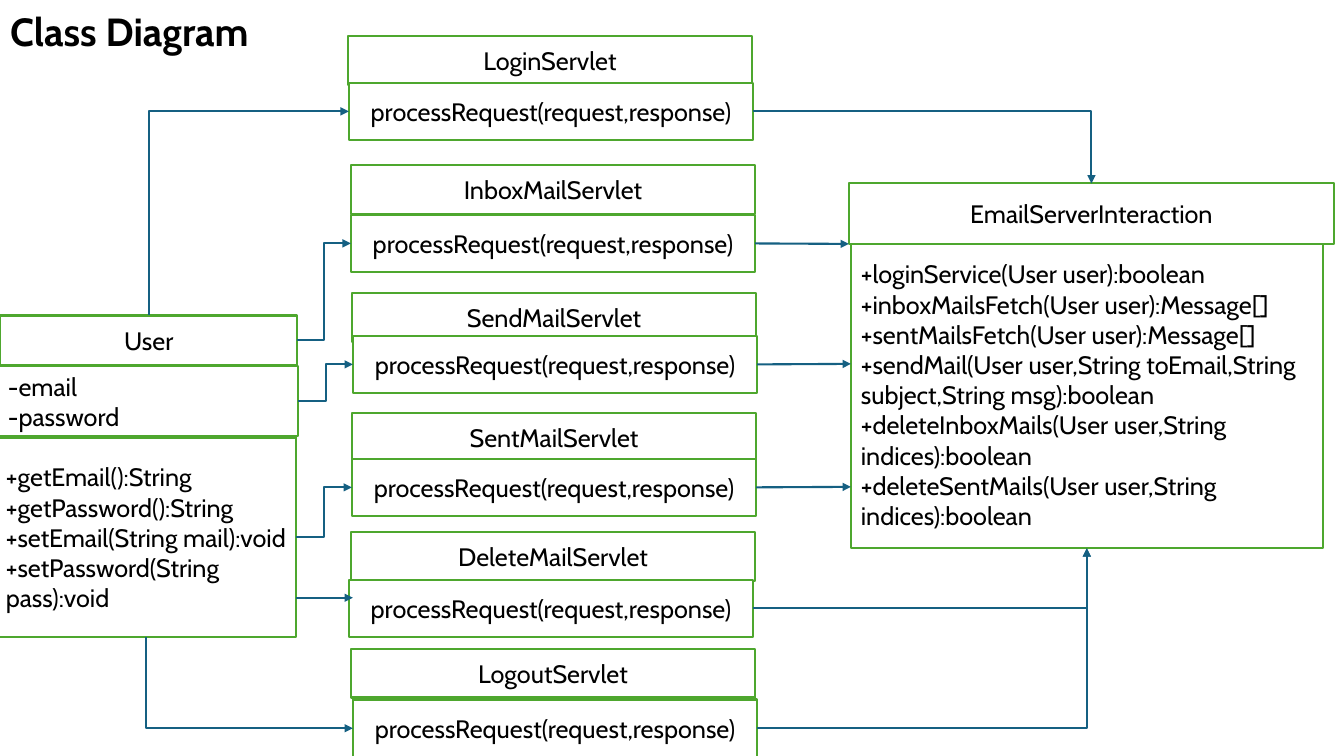
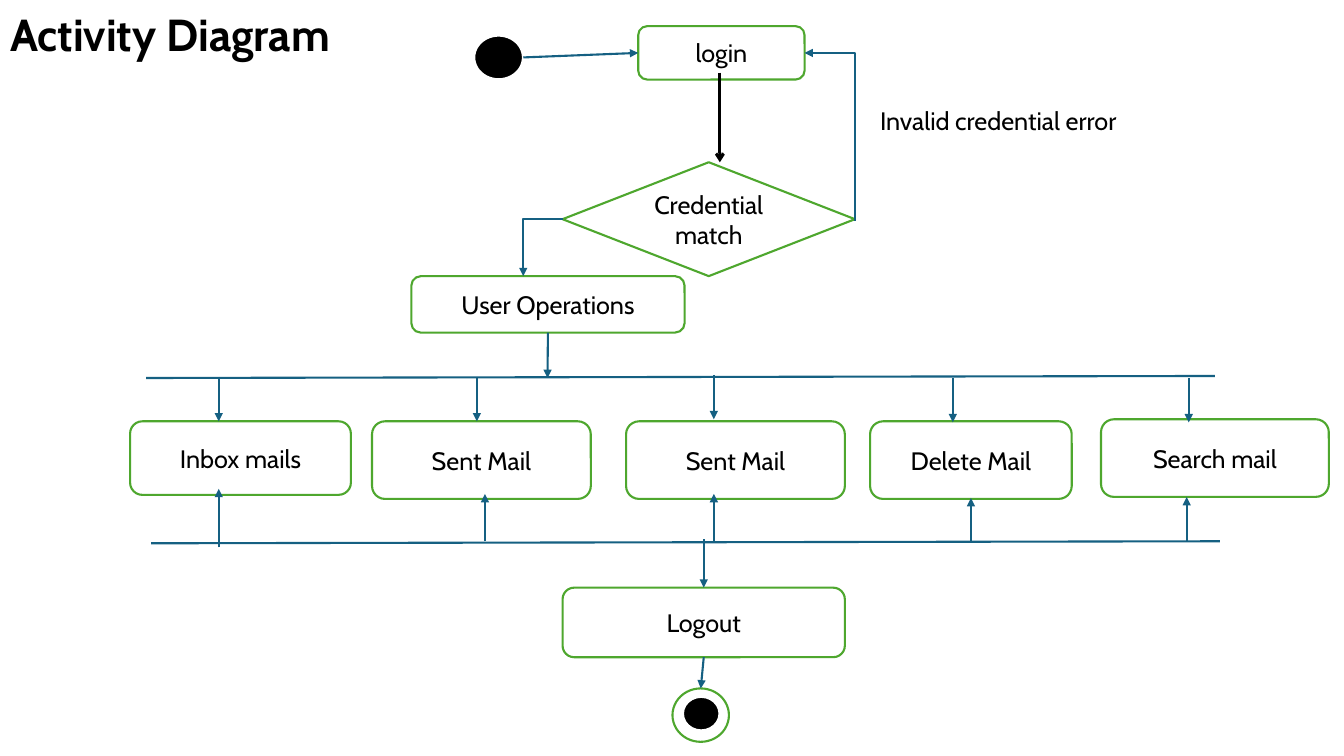
from pptx import Presentation
from pptx import util as u
from pptx.dml.color import RGBColor
from pptx.enum import shapes, text
from pptx.oxml import ns
from lxml import etree

FONT = "Cabin"
INK, PAPER, GREEN, BLUE = "000000", "FFFFFF", "4EA72E", "156082"
WIDE, HIGH = 13.33, 7.5
TOP, LEFT, BOTTOM, RIGHT = range(4)
KIND = shapes.MSO_SHAPE
LINK = shapes.MSO_CONNECTOR
MIDDLE = text.PP_ALIGN.CENTER
START = text.PP_ALIGN.LEFT


def rgb(code):
    return RGBColor.from_string(code)


def inch(values):
    return [u.Inches(v) for v in values]


def write(frame, lines, align=START, size=18, bold=False):
    frame.word_wrap = True
    for i, line in enumerate(lines):
        para = frame.paragraphs[0] if i == 0 else frame.add_paragraph()
        para.alignment = align
        run = para.add_run()
        run.text = line
        style = {"name": FONT, "size": u.Pt(size), "bold": bold}
        for key, value in style.items():
            setattr(run.font, key, value)
        run.font.color.rgb = rgb(INK)


def page(deck, title, box, size):
    slide = deck.slides.add_slide(deck.slide_layouts[5])
    head = slide.shapes.title
    for key, value in zip(("left", "top", "width", "height"), inch(box)):
        setattr(head, key, value)
    frame = head.text_frame
    frame.auto_size = text.MSO_AUTO_SIZE.NONE
    frame.vertical_anchor = text.MSO_ANCHOR.TOP
    write(frame, [title], size=size, bold=True)
    return slide


def node(slide, kind, box, lines=(), align=MIDDLE, fill=PAPER, edge=GREEN, width=1.5):
    shape = slide.shapes.add_shape(kind, *inch(box))
    shape.shadow.inherit = False
    shape.fill.solid()
    shape.fill.fore_color.rgb = rgb(fill)
    shape.line.color.rgb = rgb(edge)
    shape.line.width = u.Pt(width)
    shape.text_frame.vertical_anchor = text.MSO_ANCHOR.MIDDLE
    write(shape.text_frame, lines, align)
    return shape


def dot(slide, box):
    return node(slide, KIND.OVAL, box, fill=INK, edge=PAPER, width=2)


def link(slide, start, end, kind=LINK.STRAIGHT, mark="tailEnd", tip="triangle",
         color=BLUE, width=1.5, corner=False):
    """Join two ends, each a point (x, y) or a (shape, side) pair."""
    glued = [not isinstance(e[0], (int, float)) for e in (start, end)]
    spots = [(0, 0) if g else e for g, e in zip(glued, (start, end))]
    line = slide.shapes.add_connector(kind, *inch(spots[0] + spots[1]))
    if glued[0]:
        line.begin_connect(*start)
    if glued[1]:
        line.end_connect(*end)
    line.line.color.rgb = rgb(color)
    line.line.width = u.Pt(width)
    part = line.element.spPr
    if corner:
        part.find(ns.qn("a:prstGeom")).set("prst", "bentConnector2")
    if mark:
        stroke = part.find(ns.qn("a:ln"))
        etree.SubElement(stroke, ns.qn("a:" + mark)).set("type", tip)
    etree.SubElement(part, ns.qn("a:effectLst"))


def turn(slide, start, end, mark="tailEnd"):
    """One corner: level from start, then upright to end."""
    link(slide, start, end, LINK.ELBOW, mark, corner=True)


def servlet(slide, x, y, name, dx, dy):
    node(slide, KIND.RECTANGLE, (x, y, 4.01, 0.48), [name])
    return node(slide, KIND.RECTANGLE, (x + dx, y + dy, 4.01, 0.57),
                ["processRequest(request,response)"])


def user(slide, x, y):
    name = node(slide, KIND.RECTANGLE, (x, y, 2.95, 0.49), ["User"])
    data = node(slide, KIND.RECTANGLE, (x - 0.02, y + 0.5, 2.98, 0.7),
                ["-email", "-password"], START)
    calls = node(slide, KIND.RECTANGLE, (x - 0.04, y + 1.21, 2.98, 1.98), [
        "+getEmail():String", "+getPassword():String",
        "+setEmail(String mail):void", "+setPassword(String pass):void"], START)
    return name, data, calls


def server(slide, x, y):
    calls = node(slide, KIND.RECTANGLE, (x + 0.02, y + 0.57, 4.68, 3.05), [
        "+loginService(User user):boolean",
        "+inboxMailsFetch(User user):Message[]",
        "+sentMailsFetch(User user):Message[]",
        "+sendMail(User user,String toEmail,String subject,String msg):boolean",
        "+deleteInboxMails(User user,String indices):boolean",
        "+deleteSentMails(User user,String indices):boolean"], START)
    name = node(slide, KIND.RECTANGLE, (x, y, 4.81, 0.6), ["EmailServerInteraction"])
    return name, calls


def classes(deck):
    slide = page(deck, "Class Diagram", (0, 0.02, WIDE / 2, 0.57), 28)
    name, data, calls = user(slide, 0, 3.13)
    host, jobs = server(slide, 8.42, 1.82)
    login, inbox, send, sent, delete, logout = [servlet(slide, *row) for row in (
        (3.45, 0.36, "LoginServlet", 0.01, 0.46),
        (3.48, 1.64, "InboxMailServlet", 0, 0.49),
        (3.49, 2.91, "SendMailServlet", 0.01, 0.42),
        (3.49, 4.1, "SentMailServlet", 0, 0.45),
        (3.48, 5.28, "DeleteMailServlet", -0.02, 0.47),
        (3.48, 6.44, "LogoutServlet", 0.02, 0.5))]
    turn(slide, (login, LEFT), (name, TOP), "headEnd")
    turn(slide, (logout, LEFT), (calls, BOTTOM), "headEnd")
    for part, goal in ((name, inbox), (data, send), (calls, sent)):
        link(slide, (part, RIGHT), (goal, LEFT), LINK.ELBOW)
    link(slide, (2.94, 5.93), (3.5, 5.93))
    for part, x, y in ((inbox, 8.42, 2.42), (send, 8.44, 3.61), (sent, 8.44, 4.83)):
        link(slide, (part, RIGHT), (x, y))
    turn(slide, (login, RIGHT), (host, TOP))
    for part in (delete, logout):
        turn(slide, (part, RIGHT), (jobs, BOTTOM))


def entry(slide, x, y):
    """Login check, down to the user operations."""
    ball = dot(slide, (x, y + 0.09, 0.49, 0.44))
    login = node(slide, KIND.ROUNDED_RECTANGLE, (x + 1.63, y, 1.65, 0.53), ["login"])
    check = node(slide, KIND.DIAMOND, (x + 0.88, y + 1.35, 2.9, 1.13), ["Credential match"])
    work = node(slide, KIND.ROUNDED_RECTANGLE, (x - 0.62, y + 2.48, 2.71, 0.56),
                ["User Operations"])
    link(slide, (ball.left.inches + ball.width.inches, y + 0.31), (login, LEFT))
    link(slide, (x + 2.44, y + 0.46), (x + 2.44, y + 1.35), tip="arrow", color=INK, width=2)
    turn(slide, (check, LEFT), (x + 0.49, y + 2.48))
    turn(slide, (login, RIGHT), (x + 3.78, y + 1.93), "headEnd")
    link(slide, (work, BOTTOM), (x + 0.73, y + 3.49))
    note = slide.shapes.add_textbox(*inch((x + 3.93, y + 0.74, 3.14, 0.4)))
    write(note.text_frame, ["Invalid credential error"])


def fork(slide, x, y):
    """Five mail actions between two bars."""
    for dx, dy in ((0, 0), (0.05, 1.64)):
        link(slide, (x + dx + 10.6, y + dy), (x + dx, y + dy + 0.02), mark=None)
    for name, left, top, wide, high, into, begin, out, base, tip in (
            ("Inbox mails", -0.16, 0.45, 2.19, 0.73, 0.72, 0.01, 0.72, 1.7, 1.12),
            ("Sent Mail", 2.24, 0.45, 2.17, 0.77, 3.28, 0.01, 3.36, 1.64, 1.17),
            ("Sent Mail", 4.76, 0.45, 2.17, 0.77, 5.63, -0.01, 5.63, 1.64, 1.17),
            ("Delete Mail", 7.18, 0.45, 2, 0.77, 8, 0.02, 8.18, 1.64, 1.21),
            ("Search mail", 9.47, 0.43, 2.26, 0.77, 10.34, 0.02, 10.32, 1.64, 1.2)):
        node(slide, KIND.ROUNDED_RECTANGLE, (x + left, y + top, wide, high), [name])
        link(slide, (x + into, y + begin), (x + into, y + begin + 0.44))
        link(slide, (x + out, y + base), (x + out, y + tip))


def leave(slide, x, y):
    """Logout and the final state."""
    out = node(slide, KIND.ROUNDED_RECTANGLE, (x, y, 2.8, 0.69), ["Logout"])
    ring = node(slide, KIND.OVAL, (x + 1.09, y + 1, 0.56, 0.53))
    dot(slide, (x + 1.19, y + 1.08, 0.37, 0.34))
    link(slide, (x + 1.4, y - 0.48), (out, TOP))
    link(slide, (out, BOTTOM), (ring, TOP))


def activity(deck):
    slide = page(deck, "Activity Diagram", (0, 0.02, 4.77, 0.64), 32)
    entry(slide, 4.7, 0.26)
    fork(slide, 1.45, 3.73)
    leave(slide, 5.58, 5.83)


def main():
    deck = Presentation()
    deck.slide_width, deck.slide_height = inch((WIDE, HIGH))
    classes(deck)
    activity(deck)
    deck.save("out.pptx")


if __name__ == "__main__":
    main()
